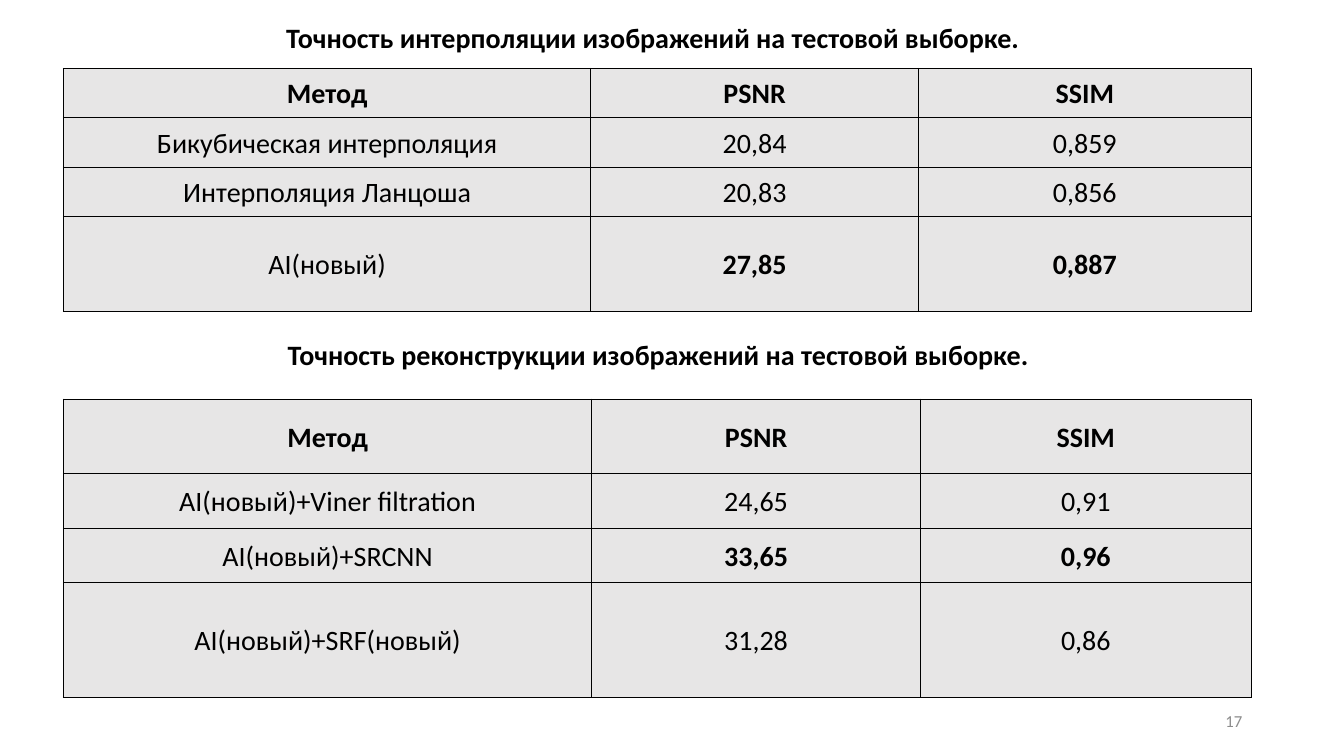
import dataclasses

import pptx
import pptx.dml.color
import pptx.enum.text
import pptx.oxml
import pptx.oxml.ns
import pptx.util

Inches, Pt = pptx.util.Inches, pptx.util.Pt
RGB = pptx.dml.color.RGBColor.from_string
ALIGN = pptx.enum.text.PP_ALIGN
ANCHOR = pptx.enum.text.MSO_ANCHOR
FIT = pptx.enum.text.MSO_AUTO_SIZE


@dataclasses.dataclass(frozen=True)
class Theme:
    font: str = "Calibri"
    ink: str = "000000"
    muted: str = "8C8C8C"
    fill: str = "E7E6E6"
    body: int = 20
    small: int = 12
    rule: int = 1


def style(item, form):
    for name, value in form.items():
        setattr(item, name, value)


class Board:
    def __init__(self, slide, theme):
        self.slide = slide
        self.theme = theme

    def text(self, para, words, size, color, bold=False, **form):
        run = para.add_run()
        run.text = words
        style(run.font, {"name": self.theme.font, "size": Pt(size), "bold": bold})
        run.font.color.rgb = RGB(color)
        style(para, form)

    def frame(self, shape, anchor):
        style(shape.text_frame, {
            "word_wrap": True, "auto_size": FIT.NONE, "vertical_anchor": anchor,
            "margin_left": Inches(0.1), "margin_right": Inches(0.1),
            "margin_top": Inches(0.05), "margin_bottom": Inches(0.05)})
        return shape.text_frame.paragraphs[0]

    def head(self, shape, words):
        para = self.frame(shape, ANCHOR.TOP)
        self.text(para, words, self.theme.body, self.theme.ink, True,
                  alignment=ALIGN.CENTER)

    def title(self, words, left, top, width, height):
        shape = self.slide.shapes.title
        style(shape, {"left": Inches(left), "top": Inches(top),
                      "width": Inches(width), "height": Inches(height)})
        self.head(shape, words)

    def box(self, *place):
        return self.slide.shapes.add_textbox(*map(Inches, place))

    def label(self, words, *place):
        self.head(self.box(*place), words)

    def number(self, words, *place):
        para = self.frame(self.box(*place), ANCHOR.MIDDLE)
        self.text(para, words, self.theme.small, self.theme.muted,
                  alignment=ALIGN.RIGHT)

    def border(self, cell):
        """Draw a solid rule on all four sides; call before the fill is set."""
        props = cell._tc.get_or_add_tcPr()
        for side in ("lnL", "lnR", "lnT", "lnB"):
            props.append(pptx.oxml.parse_xml(
                f'<a:{side} {pptx.oxml.ns.nsdecls("a")} w="{Pt(self.theme.rule)}">'
                f'<a:solidFill><a:srgbClr val="{self.theme.ink}"/></a:solidFill>'
                f'</a:{side}>'))

    def cell(self, cell, words, bold):
        self.border(cell)
        cell.fill.solid()
        cell.fill.fore_color.rgb = RGB(self.theme.fill)
        style(cell, {"vertical_anchor": ANCHOR.MIDDLE,
                     "margin_left": Inches(0.07), "margin_right": Inches(0.07),
                     "margin_top": 0, "margin_bottom": 0})
        self.text(cell.text_frame.paragraphs[0], words, self.theme.body,
                  self.theme.ink, bold, alignment=ALIGN.CENTER,
                  line_spacing=1.07, space_after=Pt(8))

    def table(self, left, top, widths, heights, rows, best):
        """Fill a table; the header and the scores in row best are bold."""
        grid = self.slide.shapes.add_table(
            len(rows), len(widths), Inches(left), Inches(top),
            Inches(sum(widths)), Inches(sum(heights))).table
        for col, width in zip(grid.columns, widths):
            col.width = Inches(width)
        for row, height in zip(grid.rows, heights):
            row.height = Inches(height)
        for r, texts in enumerate(rows):
            for c, words in enumerate(texts):
                bold = r == 0 or (r == best and c > 0)
                self.cell(grid.cell(r, c), words, bold)


HEADER = ("Метод", "PSNR", "SSIM")
SCALING = (
    HEADER,
    ("Бикубическая интерполяция", "20,84", "0,859"),
    ("Интерполяция Ланцоша", "20,83", "0,856"),
    ("AI(новый)", "27,85", "0,887"),
)
REPAIR = (
    HEADER,
    ("AI(новый)+Viner filtration", "24,65", "0,91"),
    ("AI(новый)+SRCNN", "33,65", "0,96"),
    ("AI(новый)+SRF(новый)", "31,28", "0,86"),
)


def main():
    deck = pptx.Presentation()
    style(deck, {"slide_width": Inches(13.33), "slide_height": Inches(7.5)})
    layout = deck.slide_layouts.get_by_name("Title Only")
    board = Board(deck.slides.add_slide(layout), Theme())
    left = 0.63

    board.number("17", 9.42, 6.95, 3, 0.4)
    board.title("Точность интерполяции изображений на тестовой выборке.",
                1.8, 0.15, 9.35, 0.44)
    board.table(left, 0.68, (5.23, 3.25, 3.3), (0.49, 0.49, 0.49, 0.94),
                SCALING, best=3)
    board.label("Точность реконструкции изображений на тестовой выборке.",
                2.11, 3.3, 8.84, 0.44)
    board.table(left, 3.96, (5.24, 3.26, 3.28), (0.74, 0.54, 0.54, 1.14),
                REPAIR, best=2)
    deck.save("out.pptx")


if __name__ == "__main__":
    main()
